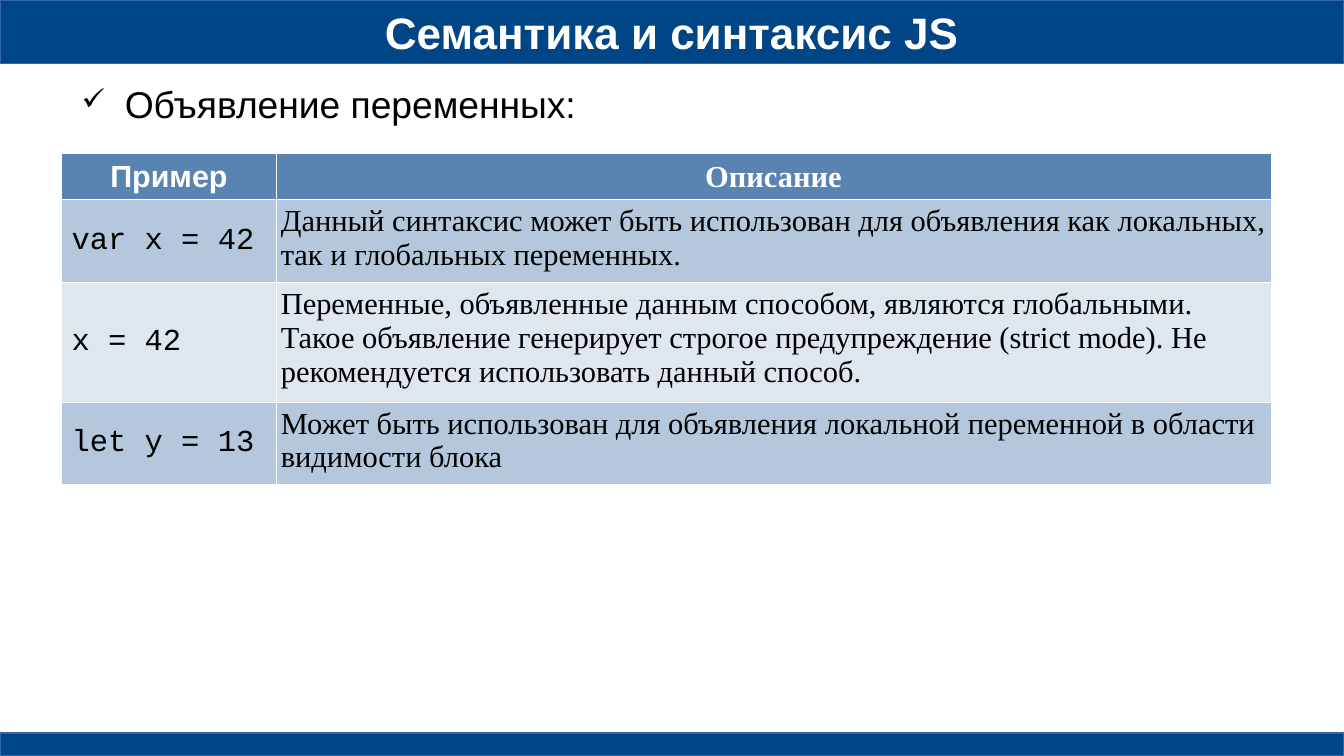
from dataclasses import dataclass

from lxml.etree import SubElement
from pptx import Presentation
from pptx.dml.color import RGBColor
from pptx.enum.shapes import MSO_SHAPE
from pptx.enum.text import MSO_ANCHOR as Anchor, PP_ALIGN as Align
from pptx.oxml import parse_xml
from pptx.oxml.ns import nsdecls, qn
from pptx.slide import Slide
from pptx.table import _Cell as Cell
from pptx.text.text import TextFrame, _Paragraph as Paragraph
from pptx.util import Cm, Pt

NAVY = RGBColor(0x00, 0x45, 0x86)
BAR_LINE = RGBColor(0x34, 0x65, 0xAF)
HEADER_BLUE = RGBColor(0x59, 0x83, 0xB0)
BAND_DARK = RGBColor(0xB4, 0xC7, 0xDC)
BAND_LIGHT = RGBColor(0xDE, 0xE6, 0xEF)
WHITE = RGBColor(0xFF, 0xFF, 0xFF)
BLACK = RGBColor(0x00, 0x00, 0x00)

SANS, SERIF, MONO = "Arial", "Times New Roman", "Courier New"
SLIDE_WIDTH, SLIDE_HEIGHT = Cm(28), Cm(15.75)
HEADER_HEIGHT, FOOTER_HEIGHT = Cm(1.33), Cm(0.48)
CELL_MARGIN = Cm(0.1)
COLUMN_WIDTHS = (Cm(4.46), Cm(20.73))
HEADINGS = (("Пример", SANS), ("Описание", SERIF))


@dataclass(frozen=True)
class Declaration:
    code: str
    description: str
    height: Cm


DECLARATIONS = (
    Declaration(
        "var x = 42",
        "Данный синтаксис может быть использован для объявления как локальных, "
        "так и глобальных переменных.",
        Cm(1.6),
    ),
    Declaration(
        "x = 42",
        "Переменные, объявленные данным способом, являются глобальными. "
        "Такое объявление генерирует строгое предупреждение (strict mode). "
        "Не рекомендуется использовать данный способ.",
        Cm(2.31),
    ),
    Declaration(
        "let y = 13",
        "Может быть использован для объявления локальной переменной "
        "в области видимости блока",
        Cm(1.6),
    ),
)


def set_margins(target: TextFrame | Cell, margin: int) -> None:
    target.margin_left = target.margin_right = margin
    target.margin_top = target.margin_bottom = margin


def write(paragraph: Paragraph, text: str, name: str, size: float,
          color: RGBColor, bold: bool = False) -> None:
    paragraph.text = text
    font = paragraph.font
    font.name, font.size, font.bold = name, Pt(size), bold
    font.color.rgb = color


def add_bar(slide: Slide, top: int, height: int) -> None:
    bar = slide.shapes.add_shape(MSO_SHAPE.RECTANGLE, 0, top, SLIDE_WIDTH, height)
    bar.shadow.inherit = False
    bar.fill.solid()
    bar.fill.fore_color.rgb = NAVY
    bar.line.color.rgb = BAR_LINE
    bar.line.width = 0


def add_text_frame(slide: Slide, left: int, top: int, width: int, height: int) -> TextFrame:
    frame = slide.shapes.add_textbox(left, top, width, height).text_frame
    frame.word_wrap = True
    set_margins(frame, 0)
    return frame


def add_check_bullet(paragraph: Paragraph) -> None:
    properties = paragraph._p.get_or_add_pPr()
    properties.set("marL", str(Cm(1.2)))
    properties.set("indent", str(-Cm(0.9)))
    bullet_color = SubElement(properties, qn("a:buClr"))
    SubElement(bullet_color, qn("a:srgbClr"), val=str(BLACK))
    SubElement(properties, qn("a:buSzPct"), val="80000")
    SubElement(properties, qn("a:buChar"), char="✓")


def style_cell(cell: Cell, fill: RGBColor, anchor: Anchor) -> Paragraph:
    """Fill and border the cell, and return its paragraph."""
    set_margins(cell, CELL_MARGIN)
    cell.vertical_anchor = anchor
    cell.fill.solid()
    cell.fill.fore_color.rgb = fill
    properties = cell._tc.get_or_add_tcPr()
    for position, side in enumerate(("lnL", "lnR", "lnT", "lnB")):
        properties.insert(position, parse_xml(
            f'<a:{side} {nsdecls("a")} w="{Pt(0.57)}"><a:solidFill>'
            f'<a:srgbClr val="{WHITE}"/></a:solidFill></a:{side}>'))
    return cell.text_frame.paragraphs[0]


def add_declaration_table(slide: Slide) -> None:
    heights = (Cm(0.96), *(item.height for item in DECLARATIONS))
    table = slide.shapes.add_table(
        len(heights), len(COLUMN_WIDTHS), Cm(1.29), Cm(3.2),
        sum(COLUMN_WIDTHS), sum(heights)).table
    for column, width in zip(table.columns, COLUMN_WIDTHS):
        column.width = width
    for row, height in zip(table.rows, heights):
        row.height = height

    for index, (heading, font_name) in enumerate(HEADINGS):
        paragraph = style_cell(table.cell(0, index), HEADER_BLUE, Anchor.MIDDLE)
        paragraph.alignment = Align.CENTER
        write(paragraph, heading, font_name, 18, WHITE, bold=True)

    for index, item in enumerate(DECLARATIONS, start=1):
        band = BAND_DARK if index % 2 else BAND_LIGHT
        code = style_cell(table.cell(index, 0), band, Anchor.MIDDLE)
        code._p.get_or_add_pPr().set("marL", str(CELL_MARGIN))
        write(code, item.code, MONO, 18, BLACK)
        description = style_cell(table.cell(index, 1), band, Anchor.TOP)
        write(description, item.description, SERIF, 18, BLACK)


def main() -> None:
    presentation = Presentation()
    presentation.slide_width, presentation.slide_height = SLIDE_WIDTH, SLIDE_HEIGHT
    slide = presentation.slides.add_slide(presentation.slide_layouts[6])

    add_bar(slide, 0, HEADER_HEIGHT)
    add_bar(slide, SLIDE_HEIGHT - FOOTER_HEIGHT, FOOTER_HEIGHT)

    title_frame = add_text_frame(slide, 0, 0, SLIDE_WIDTH, HEADER_HEIGHT)
    title_frame.vertical_anchor = Anchor.MIDDLE
    title = title_frame.paragraphs[0]
    title.alignment = Align.CENTER
    write(title, "Семантика и синтаксис JS", SANS, 26, WHITE, bold=True)

    topic_frame = add_text_frame(slide, Cm(1.4), Cm(1.7), Cm(25.2), Cm(1.35))
    topic = topic_frame.paragraphs[0]
    add_check_bullet(topic)
    topic.space_after = Pt(10.6)
    write(topic, "Объявление переменных:", SANS, 22, BLACK)

    add_declaration_table(slide)
    presentation.save("out.pptx")


if __name__ == "__main__":
    main()
